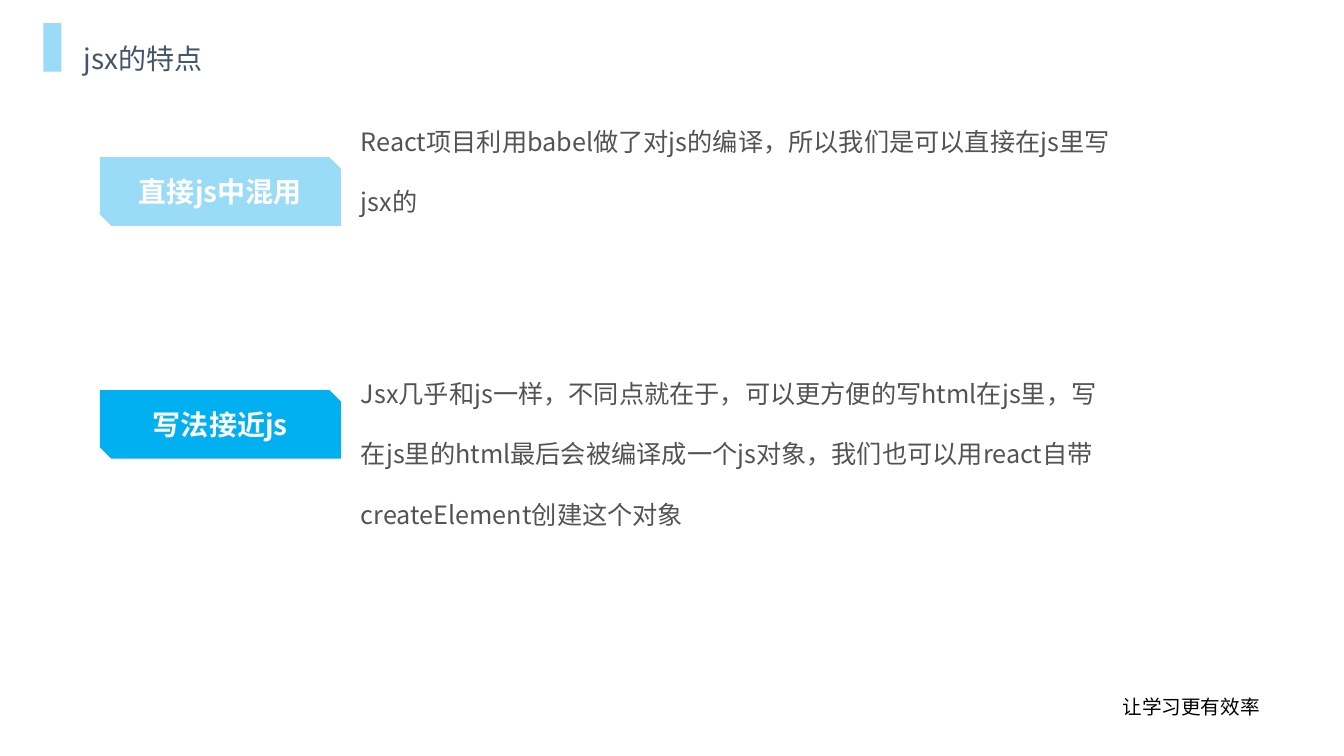
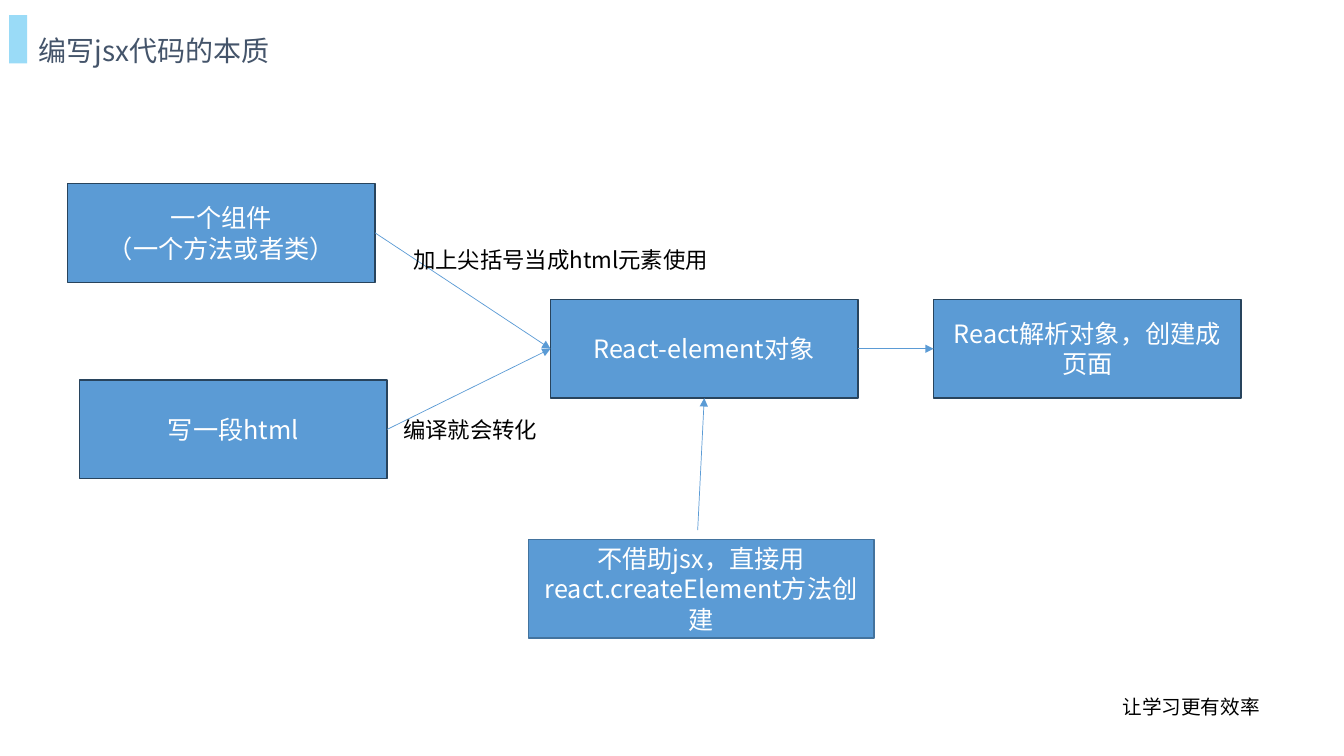
from dataclasses import dataclass

from lxml.etree import SubElement
from pptx import Presentation
from pptx.dml.color import RGBColor
from pptx.enum.shapes import MSO_CONNECTOR as Link, MSO_SHAPE as Kind
from pptx.enum.text import MSO_ANCHOR as Anchor, PP_ALIGN as Align
from pptx.oxml.ns import qn
from pptx.util import Inches, Pt


@dataclass(frozen=True)
class Theme:
    font: str = "Noto Sans CJK SC"
    white: str = "FFFFFF"
    black: str = "000000"
    title: str = "44546A"
    body: str = "535353"
    pale: str = "9ADBF7"
    vivid: str = "00B0F0"
    box: str = "5B9BD5"
    edge: str = "28445D"
    soft: str = "43739E"
    head: int = 20
    text: int = 18
    label: int = 16
    foot: int = 14
    pitch: float = 1.2


T = Theme()


def write(shape, paras, size, color, align=Align.LEFT, anchor=Anchor.TOP,
          pad=None, lead=1, gap=0, bold=False):
    frame = shape.text_frame
    frame.word_wrap = True
    frame.vertical_anchor = anchor
    if pad is not None:
        frame.margin_left = frame.margin_right = Inches(pad)
        frame.margin_top = frame.margin_bottom = Inches(pad)
    for i, words in enumerate(paras):
        para = frame.add_paragraph() if i else frame.paragraphs[0]
        para.alignment = align
        para.line_spacing = Pt(size * T.pitch * lead)
        para.space_before = Pt(gap if i else 0)
        run = para.add_run()
        run.text = words
        font = run.font
        font.name, font.size, font.bold = T.font, Pt(size), bold
        font.color.rgb = RGBColor.from_string(color)
        SubElement(run.font._element, qn("a:ea"), typeface=T.font)


def block(slide, kind, at, fill, edge=None):
    shape = slide.shapes.add_shape(kind, *map(Inches, at))
    shape.shadow.inherit = False
    shape.fill.solid()
    shape.fill.fore_color.rgb = RGBColor.from_string(fill)
    if edge:
        shape.line.color.rgb = RGBColor.from_string(edge)
        shape.line.width = Pt(1)
    else:
        shape.line.fill.background()
    return shape


deck = Presentation()
deck.slide_width, deck.slide_height = Inches(13.33), Inches(7.5)
blank = deck.slide_layouts[6]

# Titles, each with its marker bar
slides = []
for words, x, y, inset in (("jsx的特点", 0.43, 0.16, 0.4),
                           ("编写jsx代码的本质", 0.09, 0.08, 0.29)):
    slide = deck.slides.add_slide(blank)
    head = slide.shapes.add_textbox(*map(Inches, (x, y, 9.85, 0.55)))
    write(head, [words], T.head, T.title, lead=1.6)
    head.text_frame.margin_left = Inches(inset)
    block(slide, Kind.RECTANGLE, (x, y + 0.07, 0.18, 0.48), T.pale)
    slides.append(slide)
traits, flow = slides

# Footer, held by the shared layout
foot = traits.shapes.add_textbox(*map(Inches, (9.76, 6.84, 4.11, 0.34)))
write(foot, ["让学习更有效率"], T.foot, T.black, Align.CENTER)
blank.element.cSld.spTree.append(foot.element)

# Traits: a tag and its explanation
rows = (
    ("直接js中混用", T.pale, 1.56, 1.18, 1.34, 1, 
     ["React项目利用babel做了对js的编译，所以我们是可以直接在js里写", "jsx的"]),
    ("写法接近js", T.vivid, 3.87, 3.38, 1.94, 2,
     ["Jsx几乎和js一样，不同点就在于，可以更方便的写html在js里，"
      "写在js里的html最后会被编译成一个js对象，"
      "我们也可以用react自带createElement创建这个对象"]),
)
for name, fill, y, top, high, lead, paras in rows:
    tag = block(traits, Kind.SNIP_2_DIAG_RECTANGLE, (0.99, y, 2.39, 0.68), fill)
    write(tag, [name], T.head, T.white, Align.CENTER, Anchor.MIDDLE,
          pad=0.05, bold=True)
    note = traits.shapes.add_textbox(*map(Inches, (3.51, top, 7.57, high)))
    write(note, paras, T.text, T.body, pad=0.07, lead=lead,
          gap=T.text * T.pitch)

# Flow: boxes
nodes = {}
for key, x, y, wide, edge, paras in (
    ("part", 0.67, 1.82, 3.05, T.edge, ["一个组件", "（一个方法或者类）"]),
    ("html", 0.79, 3.77, 3.05, T.edge, ["写一段html"]),
    ("object", 5.46, 2.97, 3.05, T.edge, ["React-element对象"]),
    ("page", 9.26, 2.97, 3.05, T.edge, ["React解析对象，创建成页面"]),
    ("direct", 5.24, 5.35, 3.43, T.soft,
     ["不借助jsx，直接用react.createElement方法创建"]),
):
    nodes[key] = block(flow, Kind.RECTANGLE, (x, y, wide, 0.98), T.box, edge)
    write(nodes[key], paras, T.text, T.white, Align.CENTER, Anchor.MIDDLE)

# Flow: arrows; the last one starts free, just above its box
for start, end, side in (("part", "object", 1), ("html", "object", 1),
                         ("object", "page", 1), (None, "object", 2)):
    line = flow.shapes.add_connector(
        Link.STRAIGHT, *map(Inches, (6.92, 5.26, 6.98, 3.95)))
    if start:
        line.begin_connect(nodes[start], 3)
    line.end_connect(nodes[end], side)
    line.line.color.rgb = RGBColor.from_string(T.box)
    line.line.width = Pt(0.5)
    SubElement(line.line._get_or_add_ln(), qn("a:tailEnd"), type="triangle")
    SubElement(line.element.spPr, qn("a:effectLst"))

# Flow: arrow labels
for words, x, y in (("加上尖括号当成html元素使用", 4, 2.39),
                    ("编译就会转化", 3.9, 4.08)):
    label = flow.shapes.add_textbox(*map(Inches, (x, y, 3.93, 0.37)))
    write(label, [words], T.label, T.black)

deck.save("out.pptx")
